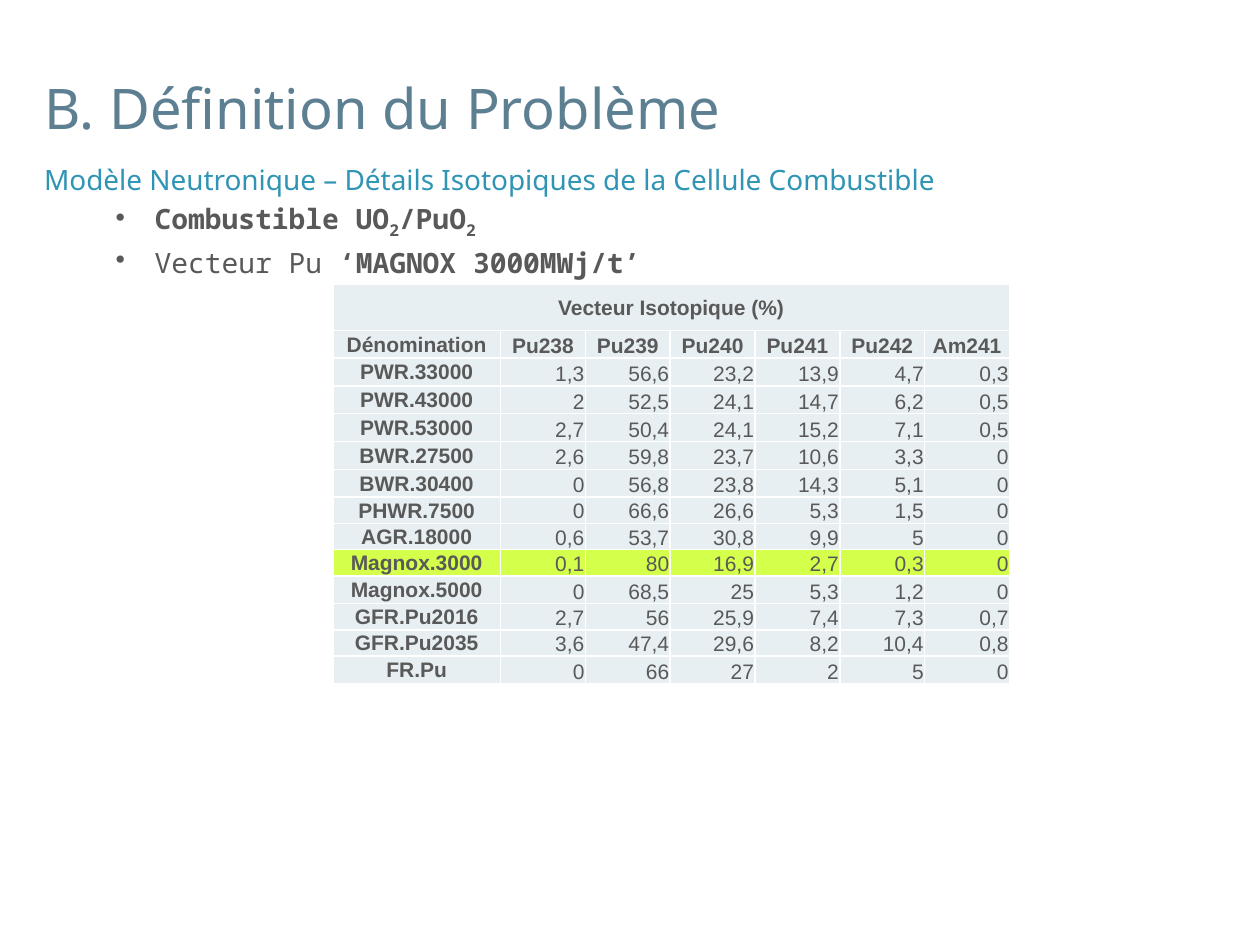
import pptx
import pptx.dml.color
import pptx.enum.text
import pptx.oxml
import pptx.oxml.ns
import pptx.util
from dataclasses import dataclass
from lxml import etree

Cm = pptx.util.Cm
Pt = pptx.util.Pt
Anchor = pptx.enum.text.MSO_ANCHOR
Align = pptx.enum.text.PP_ALIGN


@dataclass(frozen=True)
class Theme:
    title_color: str = "5C7F92"
    subtitle_color: str = "3095B4"
    body_color: str = "595959"
    white: str = "FFFFFF"
    cell_fill: str = "E8EFF2"
    highlight_fill: str = "D4FF4B"
    title_size: float = 32
    body_size: float = 16
    table_size: float = 12
    heading_font: str = "Noto Sans"
    bullet_font: str = "Noto Sans Mono"
    table_font: str = "Arial"


class SlideBuilder:
    def __init__(self, slide, theme):
        self.slide = slide
        self.theme = theme

    def color(self, value):
        return pptx.dml.color.RGBColor.from_string(value)

    def child(self, parent, tag, **attributes):
        return etree.SubElement(parent, pptx.oxml.ns.qn(tag), attributes)

    def style(self, paragraph, face, size, color, bold=None):
        font = paragraph.font
        font.name = face
        font.size = Pt(size)
        font.color.rgb = self.color(color)
        font.bold = bold

    def frame(self, left, top, width, height, anchor):
        box = self.slide.shapes.add_textbox(Cm(left), Cm(top), Cm(width), Cm(height))
        box.text_frame.word_wrap = True
        box.text_frame.vertical_anchor = anchor
        return box

    def title(self, text, *bounds):
        heading = self.frame(*bounds, Anchor.BOTTOM).text_frame.paragraphs[0]
        heading.text = text
        self.style(heading, self.theme.heading_font, self.theme.title_size,
                   self.theme.title_color)

    def body(self, subtitle, bullets, *bounds):
        panel = self.frame(*bounds, Anchor.TOP)
        panel.fill.solid()
        panel.fill.fore_color.rgb = self.color(self.theme.white)
        white = panel.fill._xPr.find(".//" + pptx.oxml.ns.qn("a:srgbClr"))
        self.child(white, "a:alpha", val="63000")
        heading = panel.text_frame.paragraphs[0]
        heading.text = subtitle
        heading.line_spacing = 1.2
        heading.space_before = Pt(self.theme.body_size * 0.2)
        self.style(heading, self.theme.heading_font, self.theme.body_size,
                   self.theme.subtitle_color)
        for runs in bullets:
            self.bullet(panel.text_frame.add_paragraph(), runs)

    def bullet(self, paragraph, runs):
        paragraph.level = 1
        paragraph.space_before = Pt(self.theme.body_size * 0.2)
        bold_values = {bold for _, bold, _ in runs}
        shared_bold = bold_values.pop() if len(bold_values) == 1 else None
        self.style(paragraph, self.theme.bullet_font, self.theme.body_size,
                   self.theme.body_color, shared_bold)
        properties = paragraph._p.get_or_add_pPr()
        properties.set("marL", str(Cm(2.23)))
        properties.set("indent", str(-Cm(0.79)))
        marker = pptx.oxml.parse_xml(
            f'<a:buChar {pptx.oxml.ns.nsdecls("a")} char="•"/>')
        properties.find(pptx.oxml.ns.qn("a:defRPr")).addprevious(marker)
        for text, bold, baseline in runs:
            run = paragraph.add_run()
            run.text = text
            if shared_bold is None:
                run.font.bold = bold
            if baseline:
                run.font._element.set("baseline", str(baseline * 1000))

    def table(self, rows, highlighted, widths, heights, left, top):
        grid = self.slide.shapes.add_table(
            len(rows), len(widths), Cm(left), Cm(top),
            Cm(sum(widths)), Cm(sum(heights))).table
        grid.first_row = False
        grid.horz_banding = False
        for column, width in zip(grid.columns, widths):
            column.width = Cm(width)
        for line, height in zip(grid.rows, heights):
            line.height = Cm(height)
        for r, values in enumerate(rows):
            fill = (self.theme.highlight_fill if values[0] == highlighted
                    else self.theme.cell_fill)
            for c, value in enumerate(values):
                self.cell(grid.cell(r, c), value, fill,
                          header=r < 2 or c == 0,
                          anchor=Anchor.MIDDLE if c == 0 else Anchor.BOTTOM)
        grid.cell(0, 0).merge(grid.cell(0, len(widths) - 1))

    def cell(self, cell, value, fill, header, anchor):
        cell.margin_left = cell.margin_right = cell.margin_top = Cm(0.02)
        cell.margin_bottom = 0
        cell.vertical_anchor = anchor
        properties = cell._tc.get_or_add_tcPr()
        for side in ("a:lnL", "a:lnR", "a:lnT", "a:lnB"):
            border = self.child(properties, side, w=str(Pt(1)))
            solid = self.child(border, "a:solidFill")
            self.child(solid, "a:srgbClr", val=self.theme.white)
        cell.fill.solid()
        cell.fill.fore_color.rgb = self.color(fill)
        entry = cell.text_frame.paragraphs[0]
        entry.text = value
        entry.alignment = Align.CENTER if header else Align.RIGHT
        self.style(entry, self.theme.table_font, self.theme.table_size,
                   self.theme.body_color, header)


ISOTOPES = ["Pu238", "Pu239", "Pu240", "Pu241", "Pu242", "Am241"]
VECTORS = """
PWR.33000 1,3 56,6 23,2 13,9 4,7 0,3
PWR.43000 2 52,5 24,1 14,7 6,2 0,5
PWR.53000 2,7 50,4 24,1 15,2 7,1 0,5
BWR.27500 2,6 59,8 23,7 10,6 3,3 0
BWR.30400 0 56,8 23,8 14,3 5,1 0
PHWR.7500 0 66,6 26,6 5,3 1,5 0
AGR.18000 0,6 53,7 30,8 9,9 5 0
Magnox.3000 0,1 80 16,9 2,7 0,3 0
Magnox.5000 0 68,5 25 5,3 1,2 0
GFR.Pu2016 2,7 56 25,9 7,4 7,3 0,7
GFR.Pu2035 3,6 47,4 29,6 8,2 10,4 0,8
FR.Pu 0 66 27 2 5 0
"""
BULLETS = [
    [("Combustible UO", True, 0), ("2", True, -25),
     ("/PuO", True, 0), ("2", True, -25)],
    [("Vecteur Pu", False, 0), (" ‘MAGNOX 3000MWj/t’", True, 0)],
]


def main():
    deck = pptx.Presentation()
    deck.slide_width, deck.slide_height = Cm(25.4), Cm(19.05)
    builder = SlideBuilder(deck.slides.add_slide(deck.slide_layouts[6]), Theme())
    builder.title("B. Définition du Problème", 0.64, 0, 24.05, 2.97)
    builder.body("Modèle Neutronique – Détails Isotopiques de la Cellule Combustible",
                 BULLETS, 0.64, 3.02, 24.05, 16.03)
    rows = [["Vecteur Isotopique (%)"], ["Dénomination", *ISOTOPES]]
    rows += [line.split() for line in VECTORS.strip().splitlines()]
    heights = [0.93] + [0.56] * 6 + [0.25, 0.53, 0.53, 0.56, 0.53, 0.53, 0.56]
    builder.table(rows, "Magnox.3000", [3.38] + [1.71] * len(ISOTOPES),
                  heights, 6.71, 5.73)
    deck.save("out.pptx")


if __name__ == "__main__":
    main()
